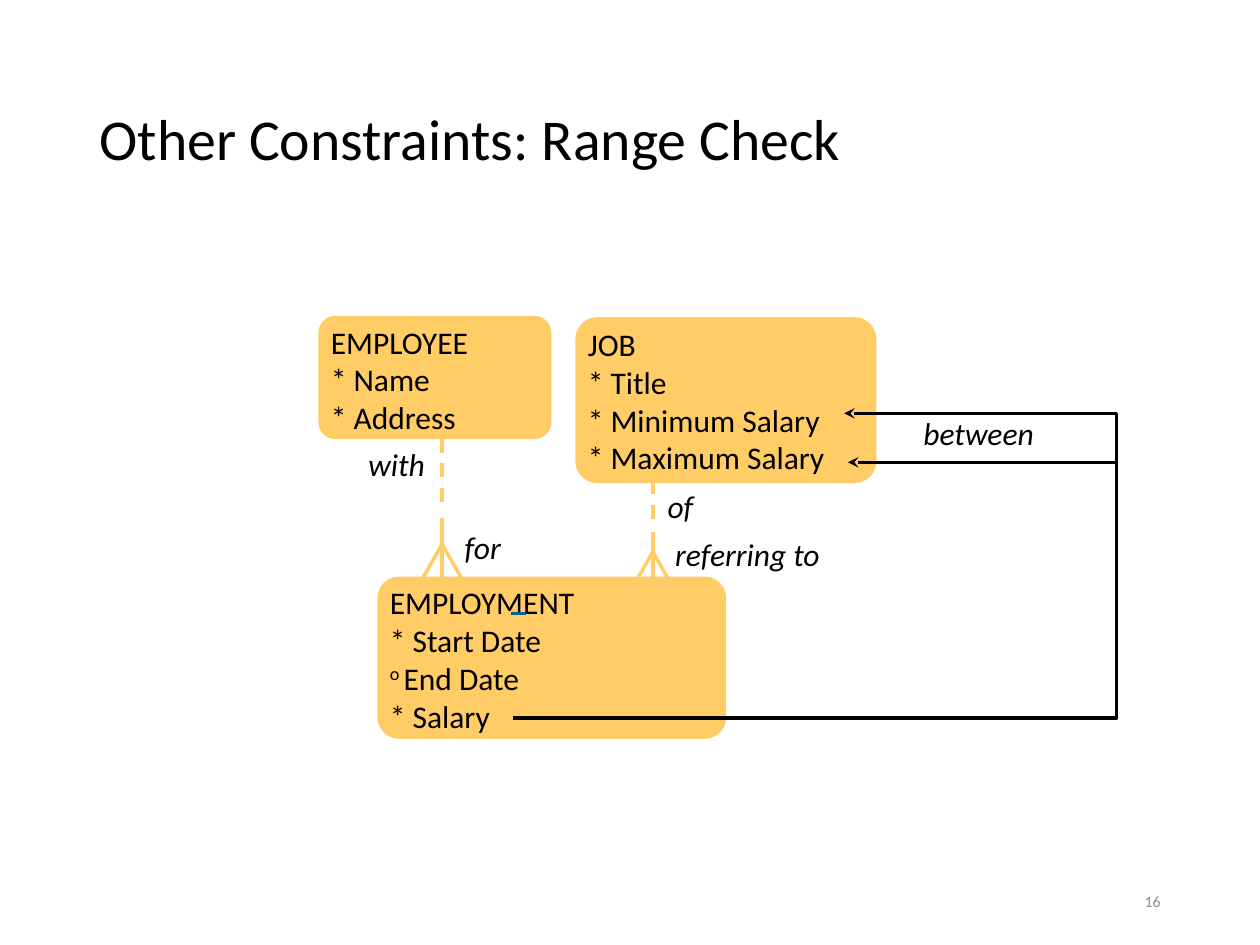
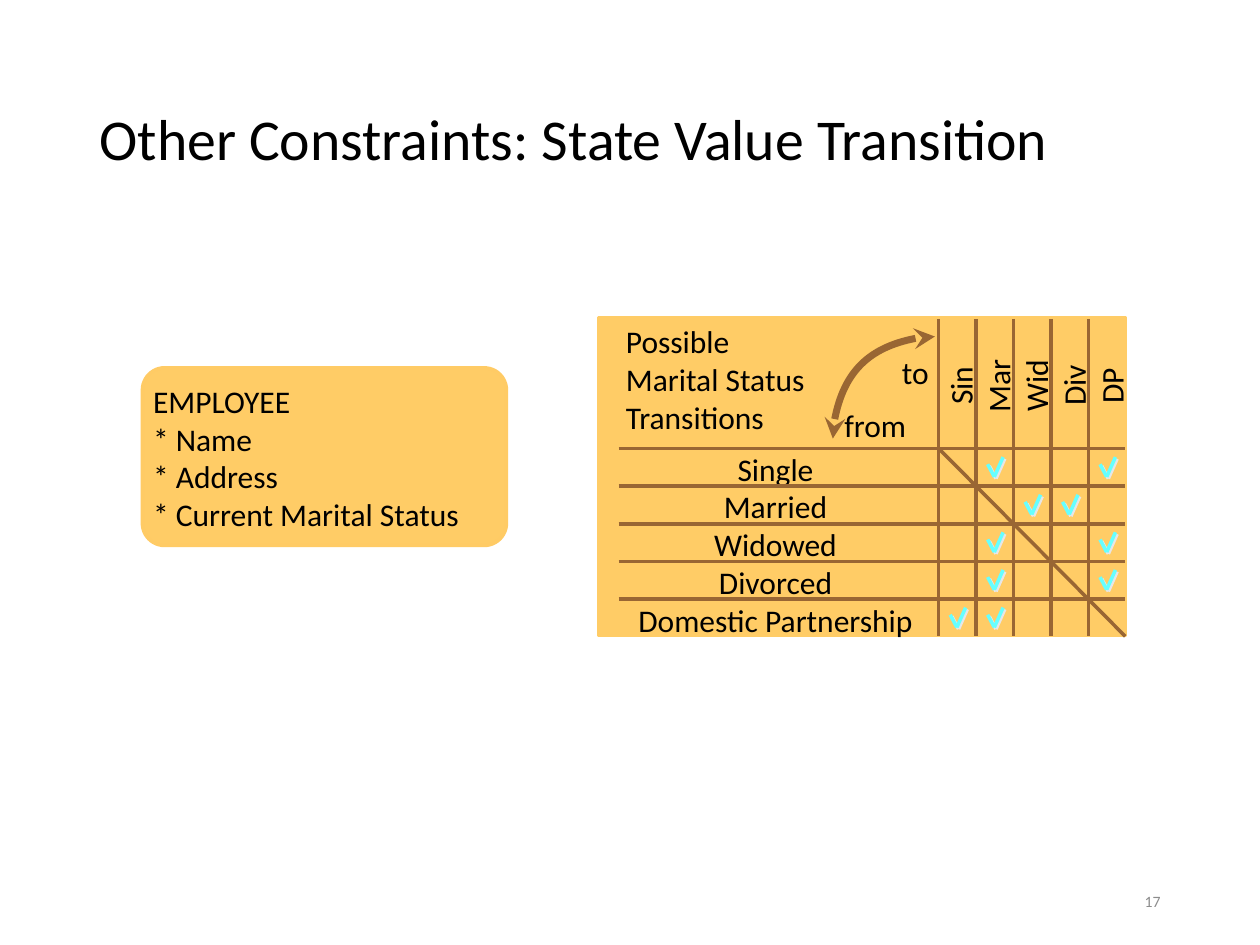
from lxml import etree
from pptx import Presentation
from pptx.dml.color import RGBColor
from pptx.enum.dml import MSO_LINE_DASH_STYLE as Dash
from pptx.enum.shapes import MSO_CONNECTOR, MSO_SHAPE
from pptx.enum.text import MSO_ANCHOR, MSO_AUTO_SIZE as AutoSize, PP_ALIGN as Align
from pptx.oxml.ns import qn
from pptx.util import Pt

COLORS = {
    "text": "000000",
    "number": "8C8C8C",
    "entity": "FFCC66",
    "entity_edge": "FFCB65",
    "grid": "996633",
    "tick": "66FFFF",
    "tick_shadow": "E7E6E6",
    "accent": "006699",
}
BODY = {"name": "Calibri", "size": Pt(18)}
LABEL = {**BODY, "italic": True}
TITLE = {"name": "Calibri", "size": Pt(33)}
NUMBER = {"name": "Calibri", "size": Pt(9)}
LINE_HEIGHT = 22
TRANSITIONS = {
    "Single": ("Mar", "DP"),
    "Married": ("Wid", "Div"),
    "Widowed": ("Mar", "DP"),
    "Divorced": ("Mar", "DP"),
    "Domestic Partnership": ("Sin", "Mar"),
}
STATUSES = ("Sin", "Mar", "Wid", "Div", "DP")


def color(name):
    """Return the named colour."""
    return RGBColor.from_string(COLORS[name])


def format_font(font, formats, color_name="text"):
    """Apply a dict of format values and a colour to a font."""
    for name, value in formats.items():
        setattr(font, name, value)
    font.color.rgb = color(color_name)


def style_line(line, color_name, width=2, dash=None, arrows=False):
    """Set colour, width, dash and optional stealth arrowheads at both ends."""
    line.color.rgb = color(color_name)
    line.width = Pt(width)
    if dash:
        line.dash_style = dash
    if arrows:
        outline = line.color and line._get_or_add_ln()
        for tag in ("a:headEnd", "a:tailEnd"):
            etree.SubElement(outline, qn(tag), type="stealth")


def add_text(slide, box, text, formats=BODY, align=Align.LEFT):
    """Add a wrapping text box and return it."""
    shape = slide.shapes.add_textbox(*map(Pt, box))
    frame = shape.text_frame
    frame.word_wrap = True
    frame.auto_size = AutoSize.SHAPE_TO_FIT_TEXT
    paragraph = frame.paragraphs[0]
    paragraph.text = text
    paragraph.alignment = align
    for run in paragraph.runs:
        format_font(run.font, formats)
    return shape


def add_line(shapes, start, end, color_name, dash=None, shadow=None):
    """Add a straight connector, with a hard shadow if its colour is given."""
    connector = shapes.add_connector(MSO_CONNECTOR.STRAIGHT, *map(Pt, (*start, *end)))
    style_line(connector.line, color_name, dash=dash)
    effects = etree.SubElement(connector.element.spPr, qn("a:effectLst"))
    if shadow:
        outer = etree.SubElement(
            effects, qn("a:outerShdw"), blurRad="0", dist=str(Pt(1.4)), dir="2700000"
        )
        etree.SubElement(outer, qn("a:srgbClr"), val=COLORS[shadow])


def add_polyline(shapes, points, color_name, width=2, arrows=False):
    """Add an open, unfilled outline through the points."""
    corners = [(Pt(x), Pt(y)) for x, y in points]
    builder = shapes.build_freeform(*corners[0])
    builder.add_line_segments(corners[1:], close=False)
    shape = builder.convert_to_shape()
    shape.shadow.inherit = False
    shape.fill.background()
    style_line(shape.line, color_name, width, arrows=arrows)
    return shape


def add_curve(shapes, box, color_name):
    """Add a quarter circle with two arrowheads, from bottom left to top right."""
    left, top, width, height = box
    ends = [(left, top + height), (left + width, top)]
    shape = add_polyline(shapes, ends, color_name, 4, True)
    segment = shape.element.find(".//" + qn("a:lnTo"))
    curve = etree.Element(qn("a:cubicBezTo"))
    for x, y in ((0, 0.45), (0.45, 0), (1, 0)):
        point = {"x": str(int(x * shape.width)), "y": str(int(y * shape.height))}
        etree.SubElement(curve, qn("a:pt"), **point)
    segment.getparent().replace(segment, curve)


def add_panel(slide, kind, box, edge):
    """Add a filled shape in the entity colour."""
    shape = slide.shapes.add_shape(kind, *map(Pt, box))
    shape.shadow.inherit = False
    shape.fill.solid()
    shape.fill.fore_color.rgb = color("entity")
    style_line(shape.line, edge)
    return shape


def add_entity(slide, box, lines, text_width, text_drop=-0.7):
    """Add a rounded entity with its attribute list and return the text box."""
    left, top = box[:2]
    panel = add_panel(slide, MSO_SHAPE.ROUNDED_RECTANGLE, box, "entity_edge")
    panel.adjustments[0] = 0.125
    text_box = (left - 1, top + text_drop, text_width, len(lines) * LINE_HEIGHT + 6)
    return add_text(slide, text_box, "\v".join(lines))


def add_relationship(slide, box, dash_end, stem_start, apex):
    """Add a dashed line that ends in a crow's foot at the bottom of the box."""
    left, top, width, height = box
    middle, bottom = left + width / 2, top + height
    add_line(slide.shapes, (middle, bottom), (middle, top + stem_start), "entity")
    toes = slide.shapes.add_group_shape().shapes
    for x in (left + width, left):
        add_line(toes, (x, bottom), (middle, top + apex), "entity")
    add_line(slide.shapes, (middle, top), (middle, top + dash_end), "entity", Dash.DASH)


def add_range_bracket(slide, box):
    """Add the bracket from one attribute to the two that limit it."""
    left, top, width, height = box
    right, bottom = left + width, top + height
    shapes = slide.shapes.add_group_shape().shapes
    limits = [(left + 189.4, top), (right, top), (right, top + 28), (left + 191.6, top + 28)]
    source = [(right, top + 23), (right, bottom), (left, bottom)]
    add_polyline(shapes, limits, "text", arrows=True)
    add_polyline(shapes, source, "text")


def add_matrix(slide, box):
    """Add the transition matrix with its headings, grid and ticks."""
    left, top, width, height = box
    right, bottom = left + width, top + height
    columns = [left + 194.4 + 21.4 * i for i in range(len(STATUSES))]
    rows = [top + 74.8 + 21.5 * i for i in range(len(TRANSITIONS))]
    add_panel(slide, MSO_SHAPE.RECTANGLE, box, "entity")

    add_text(slide, (left - 18, top + 71.9, 238.3, 116), "\v".join(TRANSITIONS), align=Align.CENTER)
    heading_box = (left + 223.9, top - 18.8, 51.8, 115.2)
    add_text(slide, heading_box, "\v".join(STATUSES), align=Align.CENTER).rotation = 270

    verticals = slide.shapes.add_group_shape().shapes
    for x in columns:
        add_line(verticals, (x, top + 0.7), (x, bottom + 0.6), "grid")
    horizontals = slide.shapes.add_group_shape().shapes
    for y in rows:
        add_line(horizontals, (left + 11.5, y), (right, y), "grid")
    add_line(slide.shapes, (columns[0], rows[0]), (right, bottom + 0.6), "grid")

    add_text(slide, (left + 129.6, top + 46.8, 53.3, 28.8), "from", align=Align.RIGHT)
    add_text(slide, (left + 156.2, top + 16.5, 39.6, 28.8), "to", align=Align.RIGHT)
    caption = "Possible\vMarital Status Transitions"
    add_text(slide, (left + 8.6, top - 0.8, 153.4, 72), caption)

    ticks = slide.shapes.add_group_shape().shapes
    for y, targets in zip(rows, TRANSITIONS.values()):
        for target in targets:
            add_tick(ticks, columns[STATUSES.index(target)] + 10.4, y + 16.2)
    add_curve(slide.shapes, (left + 133.9, top + 10.8, 58.3, 58.3), "grid")


def add_tick(shapes, x, y):
    """Add a tick whose lowest point is at x, y."""
    for start, end in (((x - 3.8, y - 7.2), (x, y)), ((x, y), (x + 5, y - 11.3))):
        add_line(shapes, start, end, "tick", shadow="tick_shadow")


def add_slide(presentation, title, number):
    """Add a title-only slide with its title and page number."""
    slide = presentation.slides.add_slide(presentation.slide_layouts[5])
    shape = slide.shapes.title
    place = {"left": 49.7, "top": 28.8, "width": 620.6, "height": 104.4}
    for name, value in place.items():
        setattr(shape, name, Pt(value))
    frame = shape.text_frame
    frame.text = title
    frame.auto_size = AutoSize.NONE
    frame.vertical_anchor = MSO_ANCHOR.MIDDLE
    paragraph = frame.paragraphs[0]
    paragraph.alignment = Align.LEFT
    paragraph.line_spacing = 0.9
    format_font(paragraph.runs[0].font, TITLE)

    footer = add_text(slide, (508.3, 500.4, 162, 28.8), str(number), NUMBER, Align.RIGHT)
    footer.text_frame.auto_size = AutoSize.NONE
    footer.text_frame.vertical_anchor = MSO_ANCHOR.MIDDLE
    format_font(footer.text_frame.paragraphs[0].runs[0].font, NUMBER, "number")
    return slide


def add_range_slide(presentation):
    """Add the slide on range checks."""
    slide = add_slide(presentation, "Other Constraints: Range Check", 16)
    add_entity(slide, (183, 181.5, 131, 68.4), ["EMPLOYEE", "* Name", "* Address"], 138)
    job = ["JOB", "* Title", "* Minimum Salary", "* Maximum Salary"]
    add_entity(slide, (329.8, 182.2, 170, 92.9), job, 212, 0)
    employment = ["EMPLOYMENT", "* Start Date", "o ", "* Salary"]
    text = add_entity(slide, (216.7, 330.5, 197.3, 90.7), employment, 213)
    paragraph = text.text_frame.paragraphs[0]
    optional, salary = paragraph.runs[2:]
    optional.font._element.set("baseline", "30000")
    end_date = paragraph.add_run()
    end_date.text = "End Date"
    format_font(end_date.font, BODY)
    optional._r.addnext(end_date._r)

    add_line(slide.shapes, (292.3, 350.6), (306, 350.6), "accent", Dash.DASH)
    add_relationship(slide, (241.5, 250.6, 22.3, 79.9), 40.3, 45.3, 60.4)
    add_relationship(slide, (364.8, 274.3, 16.5, 55.5), 28.1, 29.5, 41.1)
    add_range_bracket(slide, (293, 236.2, 345, 174.2))
    labels = [
        ("with", 197.3, 250.6, 52.6, Align.RIGHT),
        ("of", 374.4, 275, 57.6, Align.LEFT),
        ("for", 258.5, 298.1, 52.6, Align.LEFT),
        ("referring to", 378.7, 302.4, 123, Align.LEFT),
        ("between", 520.6, 233.3, 123, Align.LEFT),
    ]
    for label, left, top, width, align in labels:
        add_text(slide, (left, top, width, 28.8), label, LABEL, align)


def add_transition_slide(presentation):
    """Add the slide on state value transitions."""
    slide = add_slide(presentation, "Other Constraints: State Value Transition", 17)
    attributes = ["EMPLOYEE", "* Name", "* Address", "* Current Marital Status"]
    add_entity(slide, (81.4, 210.2, 208, 101.5), attributes, 216, 4.4)
    add_matrix(slide, (342, 181.5, 301, 181.5))


def main():
    """Build and save the presentation."""
    presentation = Presentation()
    presentation.slide_width, presentation.slide_height = Pt(720), Pt(540)
    add_range_slide(presentation)
    add_transition_slide(presentation)
    presentation.save("out.pptx")


main()
